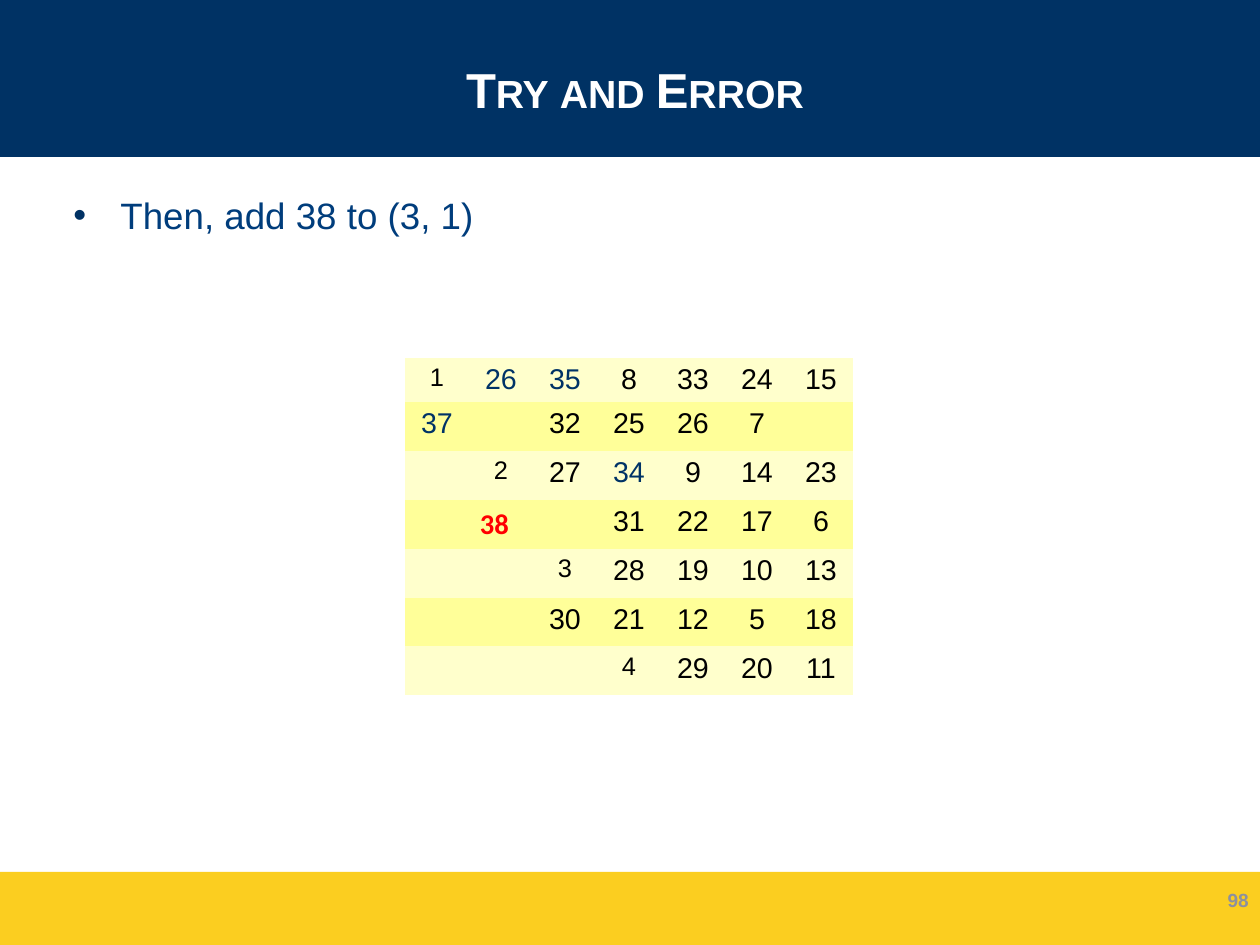
from dataclasses import dataclass

import lxml.etree
import pptx
import pptx.dml.color
import pptx.enum.shapes
import pptx.enum.text
import pptx.oxml
import pptx.oxml.ns
import pptx.util

RGBColor = pptx.dml.color.RGBColor
PP_ALIGN = pptx.enum.text.PP_ALIGN
MSO_ANCHOR = pptx.enum.text.MSO_ANCHOR

EMU_PER_PX = 8000
NAVY = RGBColor(0x00, 0x32, 0x64)
GOLD = RGBColor(0xFB, 0xCE, 0x20)
WHITE = RGBColor(0xFF, 0xFF, 0xFF)
BLACK = RGBColor(0x00, 0x00, 0x00)
BODY_BLUE = RGBColor(0x00, 0x3D, 0x7C)
PAGE_GRAY = RGBColor(0x8C, 0x90, 0xA0)
STEP_BLUE = RGBColor(0x00, 0x33, 0x66)
RED = RGBColor(0xFF, 0x00, 0x00)
ROW_FILLS = (RGBColor(0xFF, 0xFF, 0xCC), RGBColor(0xFF, 0xFF, 0x99))


@dataclass(frozen=True)
class Box:
    left: int
    top: int
    width: int
    height: int


@dataclass(frozen=True)
class Band:
    box: Box
    color: RGBColor


@dataclass(frozen=True)
class TextLook:
    size: float
    color: RGBColor
    bold: bool = False
    font: str = "Arial"
    align: PP_ALIGN = PP_ALIGN.CENTER
    line_spacing: float = 0.93


SLIDE = Box(0, 0, 1260, 945)
BANDS = (Band(Box(0, 0, 1260, 157), NAVY), Band(Box(0, 872, 1260, 73), GOLD))

TITLE_LOOK = TextLook(30.9, WHITE, bold=True, line_spacing=1.0)
BODY_LOOK = TextLook(23.1, BODY_BLUE, align=PP_ALIGN.LEFT, line_spacing=1.0)
PAGE_LOOK = TextLook(12, PAGE_GRAY, bold=True, align=PP_ALIGN.RIGHT)
PLAIN = TextLook(18, BLACK)
START = TextLook(16, BLACK)
STEP = TextLook(18, STEP_BLUE)
ADDED = TextLook(18, RED, bold=True, font="Calibri", align=PP_ALIGN.LEFT, line_spacing=1.0)

SQUARE = (
    ("1", "26", "35", "8", "33", "24", "15"),
    ("37", "", "32", "25", "26", "7", ""),
    ("", "2", "27", "34", "9", "14", "23"),
    ("", "38", "", "31", "22", "17", "6"),
    ("", "", "3", "28", "19", "10", "13"),
    ("", "", "30", "21", "12", "5", "18"),
    ("", "", "", "4", "29", "20", "11"),
)
SPECIAL_LOOKS = {
    (0, 0): START, (2, 1): START, (4, 2): START, (6, 3): START,
    (0, 1): STEP, (0, 2): STEP, (1, 0): STEP, (2, 3): STEP,
    (3, 1): ADDED,
}
SQUARE_LEFT, SQUARE_TOP, COLUMN_WIDTH = 405, 358, 64
ROW_HEIGHTS = (44, 45, 46, 49, 45, 46, 46)


def px(length: int) -> pptx.util.Emu:
    return pptx.util.Emu(length * EMU_PER_PX)


def edges(box: Box) -> tuple:
    return px(box.left), px(box.top), px(box.width), px(box.height)


def place(shape, box: Box) -> None:
    shape.left, shape.top, shape.width, shape.height = edges(box)


def write(frame, text: str, look: TextLook) -> None:
    frame.text = text
    paragraph = frame.paragraphs[0]
    paragraph.alignment = look.align
    paragraph.line_spacing = look.line_spacing
    for run in paragraph.runs:
        run.font.name = look.font
        run.font.size = pptx.util.Pt(look.size)
        run.font.bold = look.bold
        run.font.color.rgb = look.color


def add_band(slide, band: Band) -> None:
    """Draw a full-width band behind the placeholders."""
    shape = slide.shapes.add_shape(pptx.enum.shapes.MSO_SHAPE.RECTANGLE, *edges(band.box))
    shape.shadow.inherit = False
    shape.fill.solid()
    shape.fill.fore_color.rgb = band.color
    shape.line.fill.background()
    slide.shapes.element.insert(2, shape.element)


def add_title(slide, text: str) -> None:
    title = slide.shapes.title
    place(title, Box(62, 21, 1146, 136))
    title.text_frame.vertical_anchor = MSO_ANCHOR.MIDDLE
    write(title.text_frame, text, TITLE_LOOK)
    title.text_frame.paragraphs[0].runs[0].font._element.set("cap", "small")


def add_instruction(slide, text: str) -> None:
    body = slide.placeholders[1]
    place(body, Box(62, 187, 1146, 689))
    body.text_frame.auto_size = pptx.enum.text.MSO_AUTO_SIZE.NONE
    write(body.text_frame, text, BODY_LOOK)
    properties = body.text_frame.paragraphs[0]._p.get_or_add_pPr()
    properties.set("marL", str(px(47)))
    properties.set("indent", str(px(-47)))
    bullet_color = lxml.etree.SubElement(properties, pptx.oxml.ns.qn("a:buClr"))
    lxml.etree.SubElement(bullet_color, pptx.oxml.ns.qn("a:srgbClr"), val=str(NAVY))
    lxml.etree.SubElement(properties, pptx.oxml.ns.qn("a:buFont"), typeface="Arial")
    lxml.etree.SubElement(properties, pptx.oxml.ns.qn("a:buChar"), char="•")


def add_page_number(slide, number: str) -> None:
    page = slide.shapes.add_textbox(*edges(Box(966, 876, 294, 50)))
    page.text_frame.word_wrap = True
    page.text_frame.vertical_anchor = MSO_ANCHOR.MIDDLE
    write(page.text_frame, number, PAGE_LOOK)


def add_hairlines(cell) -> None:
    """Give the four cell edges a very thin white line, ahead of the fill."""
    properties = cell._tc.get_or_add_tcPr()
    for position, side in enumerate(("lnL", "lnR", "lnT", "lnB")):
        line = lxml.etree.Element(pptx.oxml.ns.qn(f"a:{side}"), w="381")
        fill = lxml.etree.SubElement(line, pptx.oxml.ns.qn("a:solidFill"))
        lxml.etree.SubElement(fill, pptx.oxml.ns.qn("a:srgbClr"), val=str(WHITE))
        properties.insert(position, line)


def add_square(slide) -> None:
    columns = len(SQUARE[0])
    box = Box(SQUARE_LEFT, SQUARE_TOP, columns * COLUMN_WIDTH, sum(ROW_HEIGHTS))
    square = slide.shapes.add_table(len(SQUARE), columns, *edges(box)).table
    square.first_row = False
    square.horz_banding = False
    for column in square.columns:
        column.width = px(COLUMN_WIDTH)
    for row, numbers in enumerate(SQUARE):
        square.rows[row].height = px(ROW_HEIGHTS[row])
        for column, number in enumerate(numbers):
            cell = square.cell(row, column)
            cell.margin_left = cell.margin_right = px(11)
            cell.margin_top, cell.margin_bottom = px(8), px(6)
            cell.fill.solid()
            cell.fill.fore_color.rgb = ROW_FILLS[row % 2]
            add_hairlines(cell)
            write(cell.text_frame, number, SPECIAL_LOOKS.get((row, column), PLAIN))


def main() -> None:
    presentation = pptx.Presentation()
    presentation.slide_width, presentation.slide_height = px(SLIDE.width), px(SLIDE.height)
    slide = presentation.slides.add_slide(presentation.slide_layouts[1])
    for band in BANDS:
        add_band(slide, band)
    add_title(slide, "Try and Error")
    add_instruction(slide, "Then, add 38 to (3, 1)")
    add_square(slide)
    add_page_number(slide, "98")
    presentation.save("out.pptx")


if __name__ == "__main__":
    main()
